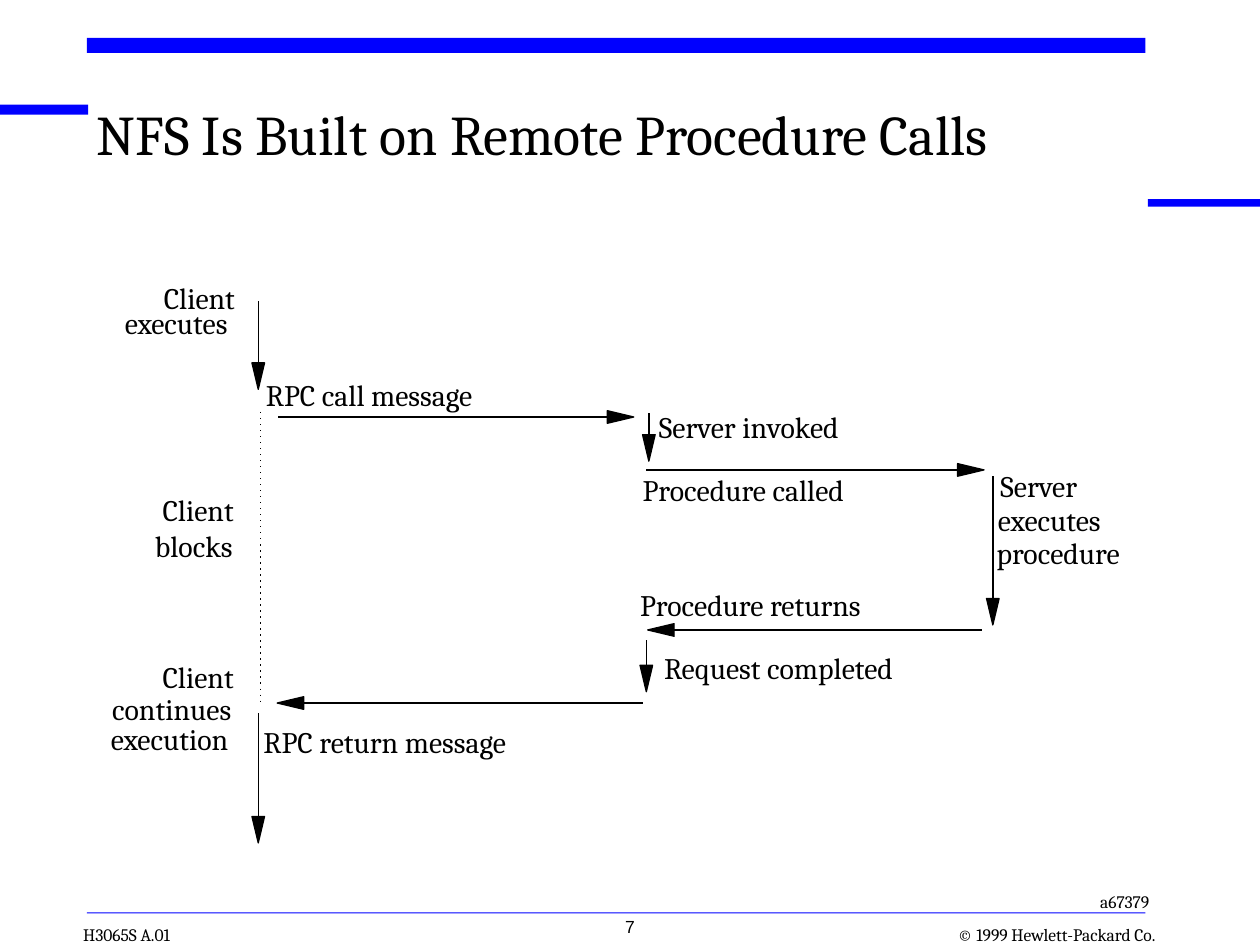
from lxml.etree import SubElement
from pptx import Presentation
from pptx.dml.color import RGBColor
from pptx.enum.shapes import MSO_CONNECTOR, MSO_SHAPE
from pptx.enum.text import MSO_ANCHOR as ANCHOR, MSO_AUTO_SIZE as AUTO, PP_ALIGN as ALIGN
from pptx.oxml.ns import qn
from pptx.util import Inches, Pt

COLORS = {"bar": "0000FF", "ink": "000000"}
HEAD_LENGTH, HEAD_HALF, TIP_GAP = 0.21, 0.05, 0.02

# left, top, width, height
BARS = [(0, 0.83, 0.7, 0.08), (0.69, 0.3, 8.4, 0.12),
        (9.11, 1.58, 0.9, 0.06), (0.69, 7.24, 8.4, 0.01)]

TITLE = "NFS Is Built on Remote Procedure Calls"

# text, left, top, width
LABELS = [
    ("Client", 1.3, 2.22, 0.64),
    ("executes", 0.99, 2.42, 0.99),
    ("RPC call message", 2.11, 2.99, 1.93),
    ("RPC return message", 2.09, 5.74, 2.26),
    ("Client", 1.29, 5.23, 0.64),
    ("continues", 0.89, 5.48, 1.09),
    ("execution", 0.88, 5.72, 1.09),
    ("Server invoked", 5.23, 3.24, 1.65),
    ("Procedure called", 5.1, 3.74, 1.86),
    ("Procedure returns", 5.08, 4.66, 2.04),
    ("Request completed", 5.27, 5.16, 2.15),
    ("Server", 7.94, 3.71, 0.71),
    ("executes", 7.92, 3.98, 0.99),
    ("procedure", 7.91, 4.24, 1.16),
    ("Client", 1.29, 3.9, 0.64),
    ("blocks", 1.23, 4.19, 0.7),
]

# start point, tip of the head
ARROWS = [
    ((7.88, 3.78), (7.88, 4.96)),
    ((7.79, 5), (5.14, 5)),
    ((5.13, 3.73), (7.81, 3.73)),
    ((5.15, 3.28), (5.15, 3.66)),
    ((5.13, 5.08), (5.13, 5.49)),
    ((5.1, 5.58), (2.2, 5.58)),
    ((2.21, 3.31), (5.03, 3.31)),
    ((2.05, 5.66), (2.05, 6.69)),
    ((2.05, 2.39), (2.05, 3.09)),
]

# Dotted line while the client blocks: first and last dot tops
DOT_X, FIRST_DOT, LAST_DOT, DOT_COUNT, DOT_LENGTH = 2.07, 3.27, 5.56, 49, 0.01


def color(name):
    return RGBColor.from_string(COLORS[name])


def add_text(page, text, left, top, width, height, size=17, font="Cambria",
             align=ALIGN.LEFT, anchor=ANCHOR.TOP, inset=(0, 0),
             wrap=False, spacing=None):
    box = page.shapes.add_textbox(*map(Inches, (left, top, width, height)))
    frame = box.text_frame
    frame.word_wrap = wrap
    frame.auto_size = AUTO.NONE if wrap else AUTO.SHAPE_TO_FIT_TEXT
    frame.vertical_anchor = anchor
    frame.margin_left = frame.margin_right = Inches(inset[0])
    frame.margin_top = frame.margin_bottom = Inches(inset[1])
    para = frame.paragraphs[0]
    para.alignment = align
    para.line_spacing = spacing
    span = para.add_run()
    span.text = text
    span.font.size = Pt(size)
    span.font.name = font
    span.font.color.rgb = color("ink")


def add_line(page, start, end):
    points = map(Inches, (*start, *end))
    line = page.shapes.add_connector(MSO_CONNECTOR.STRAIGHT, *points)
    line.line.color.rgb = color("ink")
    line.line.width = Pt(0.75)
    SubElement(line._element.spPr, qn("a:effectLst"))


def add_arrow(page, start, tip):
    (x, y), (tip_x, tip_y) = start, tip
    length = abs(tip_x - x) + abs(tip_y - y)
    dx, dy = (tip_x - x) / length, (tip_y - y) / length
    add_line(page, start, (tip_x - dx * TIP_GAP, tip_y - dy * TIP_GAP))

    # Triangle head, pointing along the arrow
    base_x, base_y = tip_x - dx * HEAD_LENGTH, tip_y - dy * HEAD_LENGTH
    side_x, side_y = dy * HEAD_HALF, dx * HEAD_HALF
    builder = page.shapes.build_freeform(
        Inches(base_x + side_x), Inches(base_y - side_y))
    builder.add_line_segments([
        (Inches(tip_x), Inches(tip_y)),
        (Inches(base_x - side_x), Inches(base_y + side_y))], close=True)
    head = builder.convert_to_shape()
    head.shadow.inherit = False
    head.fill.solid()
    head.fill.fore_color.rgb = color("ink")
    head.line.color.rgb = color("ink")
    head.line.width = Pt(0.75)


def main():
    deck = Presentation()
    deck.slide_width, deck.slide_height = Inches(10), Inches(7.5)
    page = deck.slides.add_slide(deck.slide_layouts[6])

    # Frame bars
    for place in BARS:
        bar = page.shapes.add_shape(MSO_SHAPE.RECTANGLE, *map(Inches, place))
        bar.shadow.inherit = False
        bar.fill.solid()
        bar.fill.fore_color.rgb = color("bar")
        bar.line.fill.background()

    # Title and footer
    add_text(page, TITLE, 0.77, 0.87, 8.07, 0.67, size=32, wrap=True, spacing=0.85)
    add_text(page, "© 1999 Hewlett-Packard Co.", 7.35, 7.33, 1.82, 0.17,
             size=10, align=ALIGN.RIGHT, anchor=ANCHOR.BOTTOM)
    add_text(page, "H3065S A.01", 0.66, 7.33, 0.82, 0.17,
             size=10, anchor=ANCHOR.BOTTOM)
    add_text(page, "a67379", 8.55, 7.02, 0.67, 0.27,
             size=10, align=ALIGN.RIGHT, inset=(0.1, 0.05))
    add_text(page, "7", 3.96, 7.22, 2.08, 0.33, size=10, font="Arial",
             align=ALIGN.CENTER, inset=(0.1, 0.05), wrap=True)

    # Call sequence
    for text, left, top, width in LABELS:
        add_text(page, text, left, top, width, 0.28)
    pitch = (LAST_DOT - FIRST_DOT) / (DOT_COUNT - 1)
    for index in range(DOT_COUNT):
        top = FIRST_DOT + index * pitch
        add_line(page, (DOT_X, top), (DOT_X, top + DOT_LENGTH))
    for start, tip in ARROWS:
        add_arrow(page, start, tip)

    deck.save("out.pptx")


if __name__ == "__main__":
    main()
